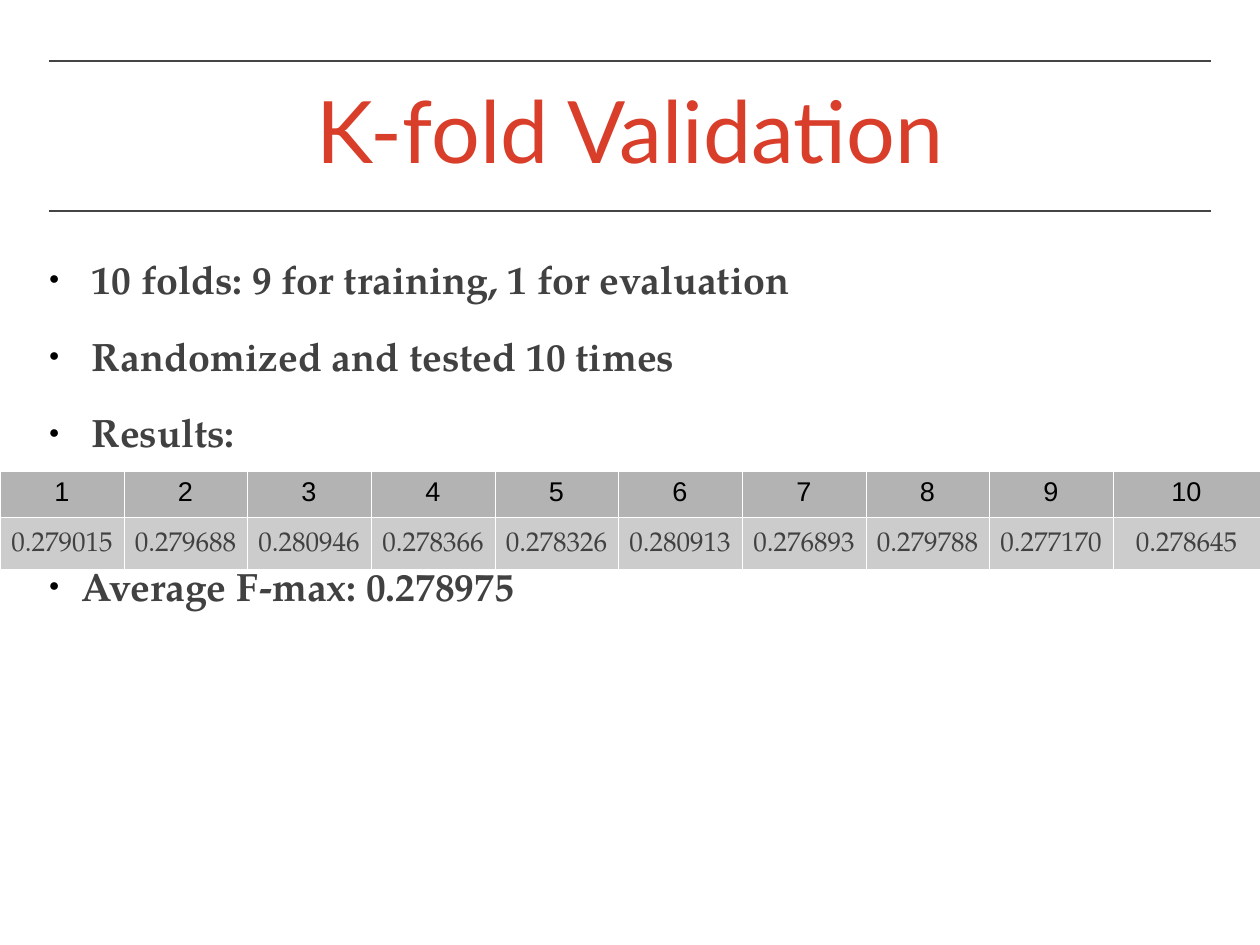
"""Build the K-fold Validation slide with its bullet list and results table."""
from lxml import etree
from pptx import Presentation
from pptx.dml.color import RGBColor
from pptx.enum.shapes import MSO_CONNECTOR
from pptx.enum.text import MSO_ANCHOR, PP_ALIGN
from pptx.oxml.ns import qn
from pptx.util import Pt

TITLE = "K-fold Validation"
BULLETS = [
    ("10 folds: 9 for training, 1 for evaluation", 43, 0),
    ("Randomized and tested 10 times", 43, 24),
    ("Results:", 43, 24),
    ("Average F-max: 0.278975", 33, 86),
]
RESULTS = ["0.279015", "0.279688", "0.280946", "0.278366", "0.278326",
           "0.280913", "0.276893", "0.279788", "0.277170", "0.278645"]
FOLDS = [str(number) for number in range(1, len(RESULTS) + 1)]

RED = RGBColor(0xD9, 0x3E, 0x2B)
INK = RGBColor(0x41, 0x41, 0x41)
RULE = RGBColor(0x44, 0x44, 0x44)
BLACK = RGBColor(0, 0, 0)
HEAD_FILL = RGBColor(0xB3, 0xB3, 0xB3)
BODY_FILL = RGBColor(0xCC, 0xCC, 0xCC)
WHITE = RGBColor(0xFF, 0xFF, 0xFF)

SERIF = "TeX Gyre Pagella"
SCALE = 10321
WIDTH, HEIGHT = 1260, 945
LEFT, RIGHT = 49, 1211
TABLE_TOP, LAST_COLUMN_LEFT = 471, 1113
ROWS = [
    (FOLDS, 46, "Arial", BLACK, HEAD_FILL, 0.87),
    (RESULTS, 52, SERIF, INK, BODY_FILL, 1.16),
]


def px(length):
    return length * SCALE


def add_span(para, text, font, size, color, bold=False):
    span = para.add_run()
    span.text = text
    span.font.name = font
    span.font.size = Pt(size)
    span.font.color.rgb = color
    span.font.bold = bold


def add_box(page, top, height, anchor):
    box = page.shapes.add_textbox(px(LEFT), px(top), px(RIGHT - LEFT), px(height))
    frame = box.text_frame
    frame.word_wrap = True
    frame.vertical_anchor = anchor
    frame.margin_left = frame.margin_right = 0
    frame.margin_top = frame.margin_bottom = 0
    return frame


def add_rule(page, y):
    line = page.shapes.add_connector(
        MSO_CONNECTOR.STRAIGHT, px(LEFT), px(y), px(RIGHT), px(y))
    line.line.color.rgb = RULE
    line.line.width = Pt(1)
    etree.SubElement(line._element.spPr, qn("a:effectLst"))


def add_bullet(para, indent):
    props = para._p.get_or_add_pPr()
    props.set("marL", str(px(indent)))
    props.set("indent", str(-px(indent)))
    color = etree.SubElement(props, qn("a:buClr"))
    etree.SubElement(color, qn("a:srgbClr"), val=str(BLACK))
    etree.SubElement(props, qn("a:buSzPct"), val="45000")
    etree.SubElement(props, qn("a:buFont"), typeface="Arial")
    etree.SubElement(props, qn("a:buChar"), char="●")


def add_borders(cell):
    props = cell._tc.get_or_add_tcPr()
    for side in ("lnL", "lnR", "lnT", "lnB"):
        line = etree.SubElement(props, qn(f"a:{side}"), w="762")
        fill = etree.SubElement(line, qn("a:solidFill"))
        etree.SubElement(fill, qn("a:srgbClr"), val=str(WHITE))


def add_results(page):
    count = len(RESULTS)
    edges = [round(i * LAST_COLUMN_LEFT / (count - 1)) for i in range(count)] + [WIDTH]
    height = sum(row[1] for row in ROWS)
    table = page.shapes.add_table(
        len(ROWS), count, 0, px(TABLE_TOP), px(WIDTH), px(height)).table
    table.first_row = table.horz_banding = False
    for column, start, end in zip(table.columns, edges, edges[1:]):
        column.width = px(end - start)
    for row, (values, row_height, font, color, fill, spacing) in zip(table.rows, ROWS):
        row.height = px(row_height)
        for cell, value in zip(row.cells, values):
            add_borders(cell)
            cell.fill.solid()
            cell.fill.fore_color.rgb = fill
            cell.vertical_anchor = MSO_ANCHOR.MIDDLE
            para = cell.text_frame.paragraphs[0]
            para.alignment = PP_ALIGN.CENTER
            para.line_spacing = spacing
            add_span(para, value, font, 22, color)


def main():
    deck = Presentation()
    deck.slide_width, deck.slide_height = px(WIDTH), px(HEIGHT)
    page = deck.slides.add_slide(deck.slide_layouts[6])
    for y in (61, 211):
        add_rule(page, y)

    title = add_box(page, 43, 186, MSO_ANCHOR.MIDDLE).paragraphs[0]
    title.alignment = PP_ALIGN.CENTER
    title.line_spacing = 0.9
    add_span(title, TITLE, "Lato", 70, RED)

    body = add_box(page, 255, 590, MSO_ANCHOR.TOP)
    for index, (text, indent, space) in enumerate(BULLETS):
        para = body.add_paragraph() if index else body.paragraphs[0]
        if space:
            para.space_before = Pt(space)
        add_bullet(para, indent)
        add_span(para, text, SERIF, 32, INK, bold=True)

    add_results(page)
    deck.save("out.pptx")


if __name__ == "__main__":
    main()
